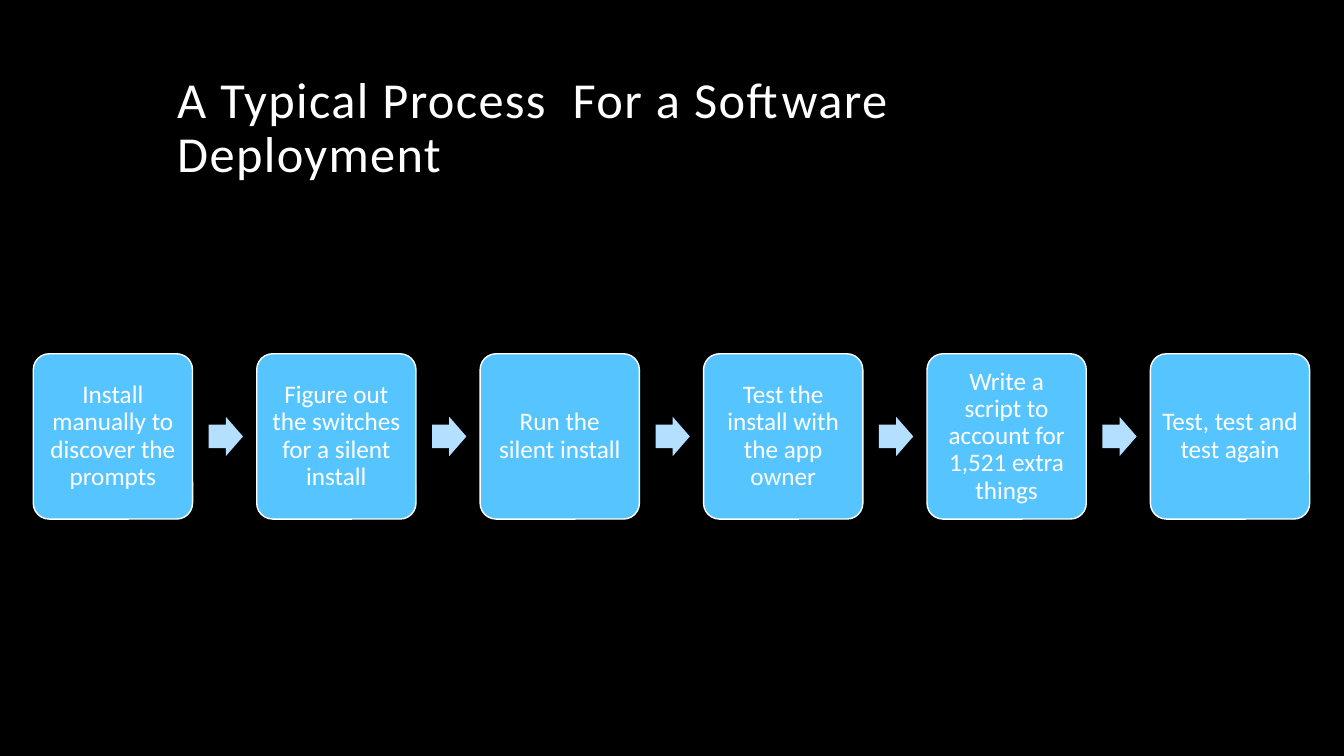
from pptx import Presentation
from pptx.dml.color import RGBColor
from pptx.enum.shapes import MSO_SHAPE
from pptx.enum.text import MSO_ANCHOR, PP_ALIGN
from pptx.util import Inches, Pt

ROUNDED, ARROW = MSO_SHAPE.ROUNDED_RECTANGLE, MSO_SHAPE.RIGHT_ARROW
LEFT, CENTER = PP_ALIGN.LEFT, PP_ALIGN.CENTER
MIDDLE, BOTTOM = MSO_ANCHOR.MIDDLE, MSO_ANCHOR.BOTTOM

FONT = "Calibri"
BLACK, WHITE, BLUE, PALE_BLUE = "000000", "FFFFFF", "56C5FF", "B4DFFF"

STEPS = [
    "Install manually to discover the prompts",
    "Figure out the switches for a silent install",
    "Run the silent install",
    "Test the install with the app owner",
    "Write a script to account for 1,521 extra things",
    "Test, test and test again",
]
STEP_LEFT, STEP_TOP, STEP_W, STEP_H = 0.33, 3.51, 1.58, 1.64
PITCH = 2.216
ARROW_W, ARROW_H, ARROW_OFFSET = 0.34, 0.39, 1.74


def color(hex_string):
    return RGBColor.from_string(hex_string)


def write(sp, text, size=18, align=CENTER, anchor=MIDDLE, inset=0.07,
          right_inset=None, spacing=None):
    tf = sp.text_frame
    tf.word_wrap = True
    tf.vertical_anchor = anchor
    tf.margin_left = tf.margin_right = Inches(inset)
    tf.margin_top = tf.margin_bottom = Inches(inset)
    if right_inset is not None:
        tf.margin_right = Inches(right_inset)
    p = tf.paragraphs[0]
    p.alignment = align
    p.line_spacing = 0.9
    r = p.add_run()
    r.text = text
    r.font.name = FONT
    r.font.size = Pt(size)
    r.font.color.rgb = color(WHITE)
    if spacing is not None:
        r._r.get_or_add_rPr().set("spc", str(spacing))


def add_title(s, text):
    sp = s.shapes.add_textbox(Inches(1.66), Inches(0.42), Inches(10), Inches(1.5))
    write(sp, text, size=36, align=LEFT, anchor=BOTTOM, inset=0.1,
          right_inset=0.4, spacing=100)


def add_block(s, kind, left, top, width, height, fill, adjustments, line=None):
    sp = s.shapes.add_shape(kind, Inches(left), Inches(top), Inches(width), Inches(height))
    sp.shadow.inherit = False
    for i, value in enumerate(adjustments):
        sp.adjustments[i] = value
    sp.fill.solid()
    sp.fill.fore_color.rgb = color(fill)
    if line:
        sp.line.color.rgb = color(line)
        sp.line.width = Pt(1)
    else:
        sp.line.fill.background()
    return sp


def add_process(s):
    arrow_top = STEP_TOP + (STEP_H - ARROW_H) / 2
    for i, step in enumerate(STEPS):
        left = STEP_LEFT + i * PITCH
        sp = add_block(s, ROUNDED, left, STEP_TOP, STEP_W, STEP_H, BLUE, [0.1], line=WHITE)
        write(sp, step)
        if i < len(STEPS) - 1:
            add_block(s, ARROW, left + ARROW_OFFSET, arrow_top, ARROW_W, ARROW_H,
                      PALE_BLUE, [0.6, 0.5])


def main():
    prs = Presentation()
    prs.slide_width, prs.slide_height = Inches(13.33), Inches(7.5)
    s = prs.slides.add_slide(prs.slide_layouts[6])

    # Background
    s.background.fill.solid()
    s.background.fill.fore_color.rgb = color(BLACK)

    # Title and process steps
    add_title(s, "A Typical Process  For a Software Deployment")
    add_process(s)
    prs.save("out.pptx")


if __name__ == "__main__":
    main()
